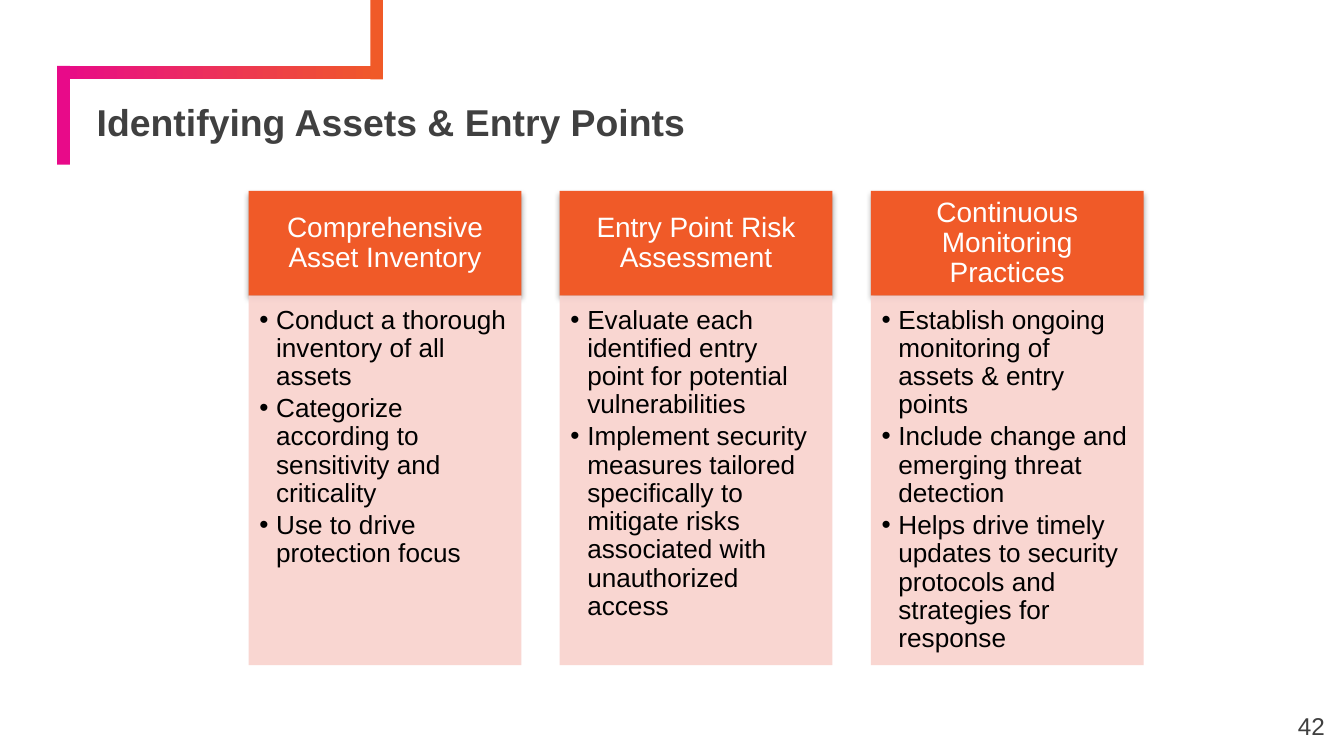
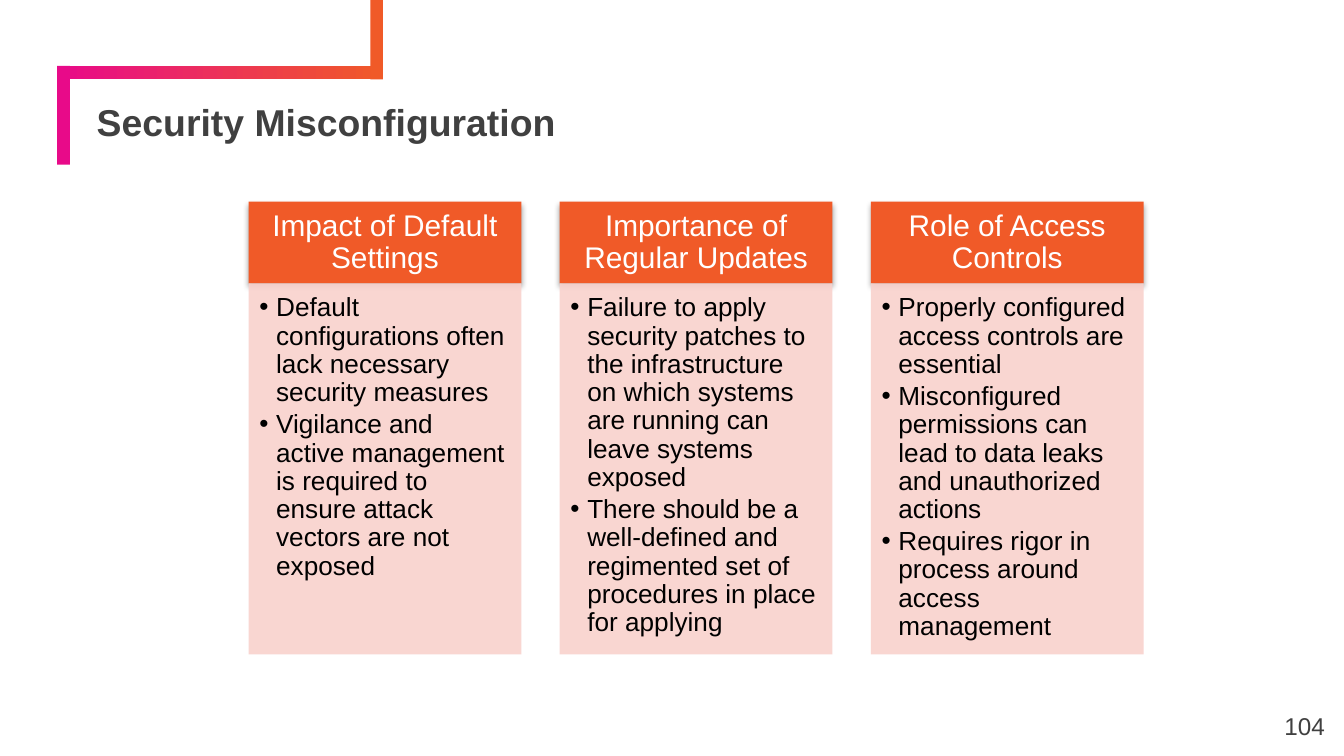
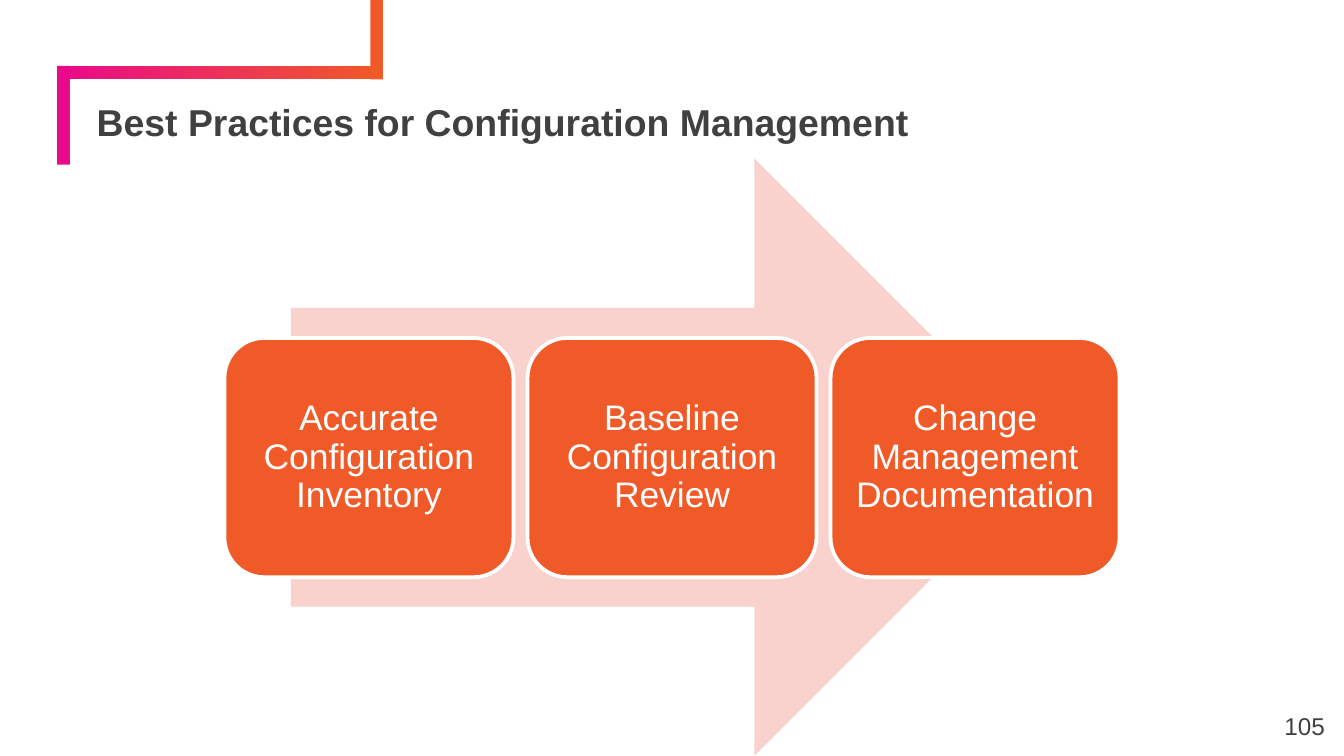
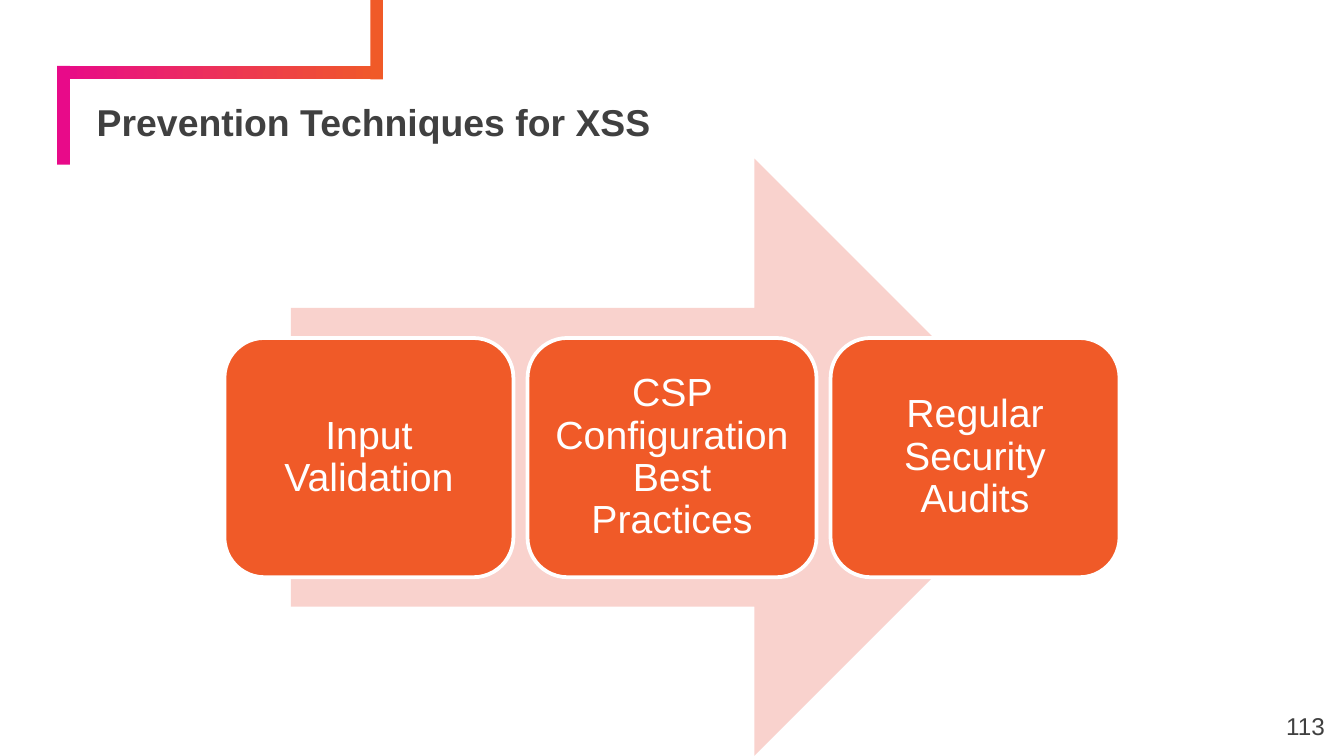
import dataclasses
import typing

import lxml.etree
import pptx
import pptx.dml.color
import pptx.enum.shapes
import pptx.enum.text
import pptx.oxml.ns
import pptx.util

EMU_PER_PX = 4572  # 200 px to the inch
FONT = "Arial"
COLORS = {
    "white": "FFFFFF",
    "black": "000000",
    "text": "404040",
    "orange": "F05A28",
    "magenta": "E80A89",
    "blush": "F9D2CD",
}
SHAPE = pptx.enum.shapes.MSO_SHAPE
ALIGN = pptx.enum.text.PP_ALIGN
ANCHOR = pptx.enum.text.MSO_ANCHOR


class Box(typing.NamedTuple):
    left: int
    top: int
    width: int
    height: int


@dataclasses.dataclass(frozen=True)
class TextStyle:
    size: int
    color: str
    insets: tuple[int, int, int, int]
    align: ALIGN = ALIGN.LEFT
    anchor: ANCHOR = ANCHOR.TOP
    bold: bool = False
    line_spacing: float = 0.9
    bulleted: bool = False


@dataclasses.dataclass(frozen=True)
class Topic:
    heading: str
    points: tuple[str, ...]


@dataclasses.dataclass(frozen=True)
class TopicSlide:
    title: str
    number: int
    header_top: int
    header_height: int
    body_height: int
    header_size: int
    topics: tuple[Topic, ...]


@dataclasses.dataclass(frozen=True)
class ProcessSlide:
    title: str
    number: int
    text_size: int
    inset: int
    steps: tuple[str, ...]


TITLE_STYLE = TextStyle(20, "text", (10, 10, 10, 10), anchor=ANCHOR.BOTTOM, bold=True)
NUMBER_STYLE = TextStyle(13, "text", (20, 20, 20, 20), ALIGN.RIGHT, line_spacing=1.0)
POINTS_STYLE = TextStyle(14, "black", (16, 16, 22, 24), bulleted=True)

SLIDE_WIDTH, SLIDE_HEIGHT = 2000, 1125
TITLE_BOX = Box(134, 157, 1806, 68)
NUMBER_BOX = Box(1871, 1039, 120, 86)
BAND = Box(85, 98, 485, 20)
LEFT_BAND = Box(85, 98, 19, 147)
RIGHT_BAND = Box(551, 0, 19, 118)
ARROW = Box(433, 236, 1134, 889)
TOPIC_LEFT, TOPIC_PITCH, TOPIC_WIDTH = 370, 463, 406
STEP_PITCH = 451
FIRST_STEP = Box(334, 503, 430, 356)
BULLET_INDENT = 25

SLIDES = (
    TopicSlide("Identifying Assets & Entry Points", 42, 284, 156, 550, 15, (
        Topic("Comprehensive Asset Inventory", (
            "Conduct a thorough inventory of all assets",
            "Categorize according to sensitivity and criticality",
            "Use to drive protection focus",
        )),
        Topic("Entry Point Risk Assessment", (
            "Evaluate each identified entry point for potential vulnerabilities",
            "Implement security measures tailored specifically to mitigate risks "
            "associated with unauthorized access",
        )),
        Topic("Continuous Monitoring Practices", (
            "Establish ongoing monitoring of assets & entry points",
            "Include change and emerging threat detection",
            "Helps drive timely updates to security protocols and strategies for response",
        )),
    )),
    TopicSlide("Security Misconfiguration", 104, 300, 122, 552, 16, (
        Topic("Impact of Default Settings", (
            "Default configurations often lack necessary security measures",
            "Vigilance and active management is required to ensure attack vectors "
            "are not exposed",
        )),
        Topic("Importance of Regular Updates", (
            "Failure to apply security patches to the infrastructure on which systems "
            "are running can leave systems exposed",
            "There should be a well-defined and regimented set of procedures in place "
            "for applying",
        )),
        Topic("Role of Access Controls", (
            "Properly configured access controls are essential",
            "Misconfigured permissions can lead to data leaks and unauthorized actions",
            "Requires rigor in process around access management",
        )),
    )),
    ProcessSlide("Best Practices for Configuration Management", 105, 19, 16, (
        "Accurate Configuration Inventory",
        "Baseline Configuration Review",
        "Change Management Documentation",
    )),
    ProcessSlide("Prevention Techniques for XSS", 113, 21, 18, (
        "Input Validation",
        "CSP Configuration Best Practices",
        "Regular Security Audits",
    )),
)


def px(length: int) -> pptx.util.Emu:
    return pptx.util.Emu(length * EMU_PER_PX)


def rgb(name: str) -> pptx.dml.color.RGBColor:
    return pptx.dml.color.RGBColor.from_string(COLORS[name])


def add_xml(parent, tag: str, **attributes: str):
    return lxml.etree.SubElement(parent, pptx.oxml.ns.qn(tag), attributes)


def add_bullet(paragraph) -> None:
    properties = paragraph._p.get_or_add_pPr()
    properties.set("marL", str(px(BULLET_INDENT)))
    properties.set("indent", str(px(-BULLET_INDENT)))
    bullet_color = add_xml(properties, "a:buClr")
    add_xml(bullet_color, "a:srgbClr", val=COLORS["black"])
    add_xml(properties, "a:buFont", typeface=FONT)
    add_xml(properties, "a:buChar", char="•")


def write(shape, lines: typing.Sequence[str], style: TextStyle) -> None:
    frame = shape.text_frame
    frame.word_wrap = True
    frame.vertical_anchor = style.anchor
    (frame.margin_left, frame.margin_top,
     frame.margin_right, frame.margin_bottom) = map(px, style.insets)
    for index, line in enumerate(lines):
        paragraph = frame.add_paragraph() if index else frame.paragraphs[0]
        if style.bulleted:
            add_bullet(paragraph)
            paragraph.space_after = pptx.util.Pt(style.size * 0.15)
        paragraph.alignment = style.align
        paragraph.line_spacing = style.line_spacing
        run = paragraph.add_run()
        run.text = line
        run.font.name = FONT
        run.font.size = pptx.util.Pt(style.size)
        run.font.bold = style.bold
        run.font.color.rgb = rgb(style.color)


def add_text(slide, box: Box, line: str, style: TextStyle) -> None:
    write(slide.shapes.add_textbox(*map(px, box)), [line], style)


def add_filled(slide, kind: SHAPE, box: Box, color: str):
    shape = slide.shapes.add_shape(kind, *map(px, box))
    shape.shadow.inherit = False
    shape.fill.solid()
    shape.fill.fore_color.rgb = rgb(color)
    shape.line.fill.background()
    return shape


def add_soft_shadow(shape) -> None:
    effects = shape._element.spPr.find(pptx.oxml.ns.qn("a:effectLst"))
    shadow = add_xml(
        effects, "a:outerShdw", blurRad=str(pptx.util.Pt(3.1)),
        dist=str(pptx.util.Pt(1.8)), dir="5400000", rotWithShape="0")
    shadow_color = add_xml(shadow, "a:srgbClr", val=COLORS["black"])
    add_xml(shadow_color, "a:alpha", val="35000")


def set_opacity(shape, percent: int) -> None:
    fill_color = next(shape._element.spPr.iter(pptx.oxml.ns.qn("a:srgbClr")))
    add_xml(fill_color, "a:alpha", val=str(percent * 1000))


def add_frame(slide, title: str, number: int) -> None:
    """Draw the bent band, the title and the slide number."""
    band = add_filled(slide, SHAPE.RECTANGLE, BAND, "orange")
    band.fill.gradient()
    band.fill.gradient_angle = 0
    for stop, color in zip(band.fill.gradient_stops, ("magenta", "orange")):
        stop.color.rgb = rgb(color)
    add_filled(slide, SHAPE.RECTANGLE, LEFT_BAND, "magenta")
    add_filled(slide, SHAPE.RECTANGLE, RIGHT_BAND, "orange")
    add_text(slide, TITLE_BOX, title, TITLE_STYLE)
    add_text(slide, NUMBER_BOX, str(number), NUMBER_STYLE)


def add_topics(slide, content: TopicSlide) -> None:
    heading_style = TextStyle(
        content.header_size, "white", (24, 14, 24, 14), ALIGN.CENTER, ANCHOR.MIDDLE)
    body_top = content.header_top + content.header_height
    for index, topic in enumerate(content.topics):
        left = TOPIC_LEFT + index * TOPIC_PITCH
        heading = add_filled(
            slide, SHAPE.RECTANGLE,
            Box(left, content.header_top, TOPIC_WIDTH, content.header_height), "orange")
        add_soft_shadow(heading)
        write(heading, [topic.heading], heading_style)
        body = add_filled(
            slide, SHAPE.RECTANGLE,
            Box(left, body_top, TOPIC_WIDTH, content.body_height), "blush")
        set_opacity(body, 90)
        write(body, topic.points, POINTS_STYLE)


def add_process(slide, content: ProcessSlide) -> None:
    step_style = TextStyle(
        content.text_size, "white", (content.inset,) * 4, ALIGN.CENTER, ANCHOR.MIDDLE)
    add_filled(slide, SHAPE.RIGHT_ARROW, ARROW, "blush")
    for index, label in enumerate(content.steps):
        step_box = FIRST_STEP._replace(left=FIRST_STEP.left + index * STEP_PITCH)
        step = add_filled(slide, SHAPE.ROUNDED_RECTANGLE, step_box, "orange")
        step.line.color.rgb = rgb("white")
        step.line.width = pptx.util.Pt(2)
        write(step, [label], step_style)


def main() -> None:
    deck = pptx.Presentation()
    deck.slide_width, deck.slide_height = px(SLIDE_WIDTH), px(SLIDE_HEIGHT)
    blank = deck.slide_layouts[6]
    for content in SLIDES:
        slide = deck.slides.add_slide(blank)
        add_frame(slide, content.title, content.number)
        if isinstance(content, TopicSlide):
            add_topics(slide, content)
        else:
            add_process(slide, content)
    deck.save("out.pptx")


if __name__ == "__main__":
    main()
